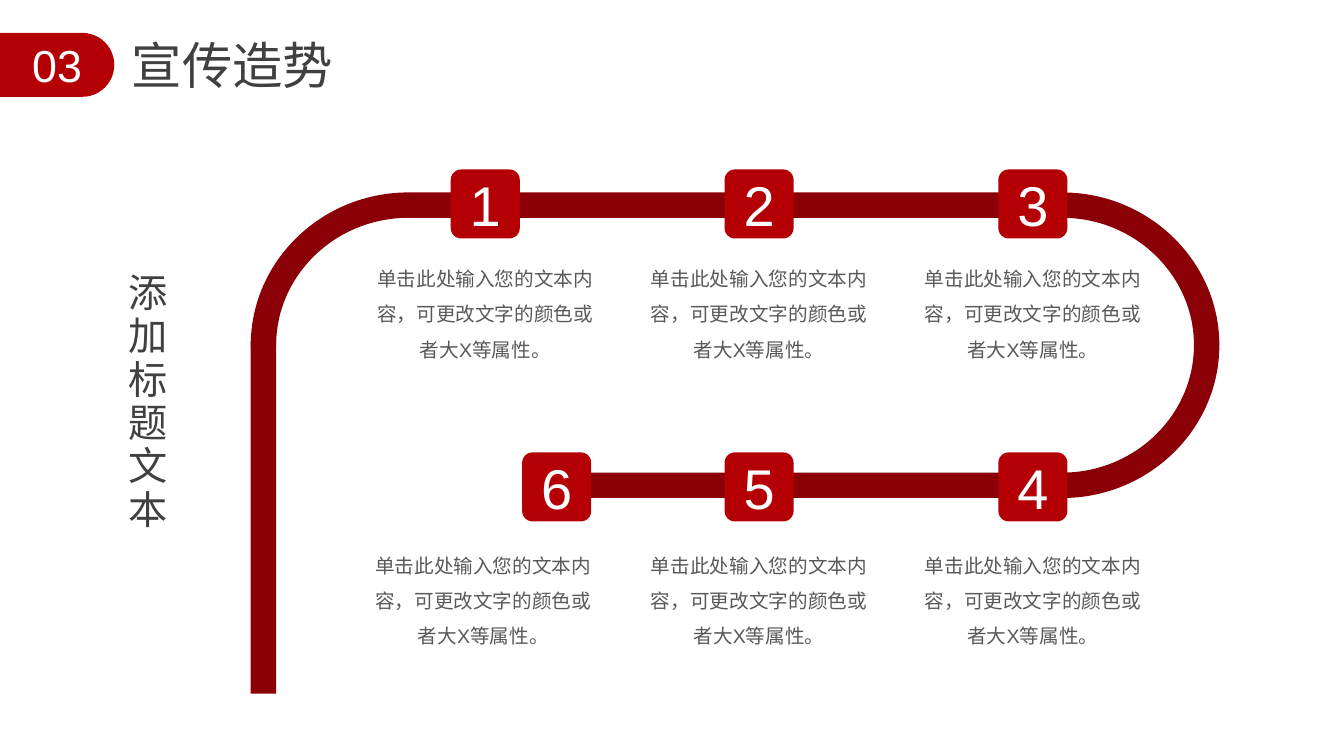
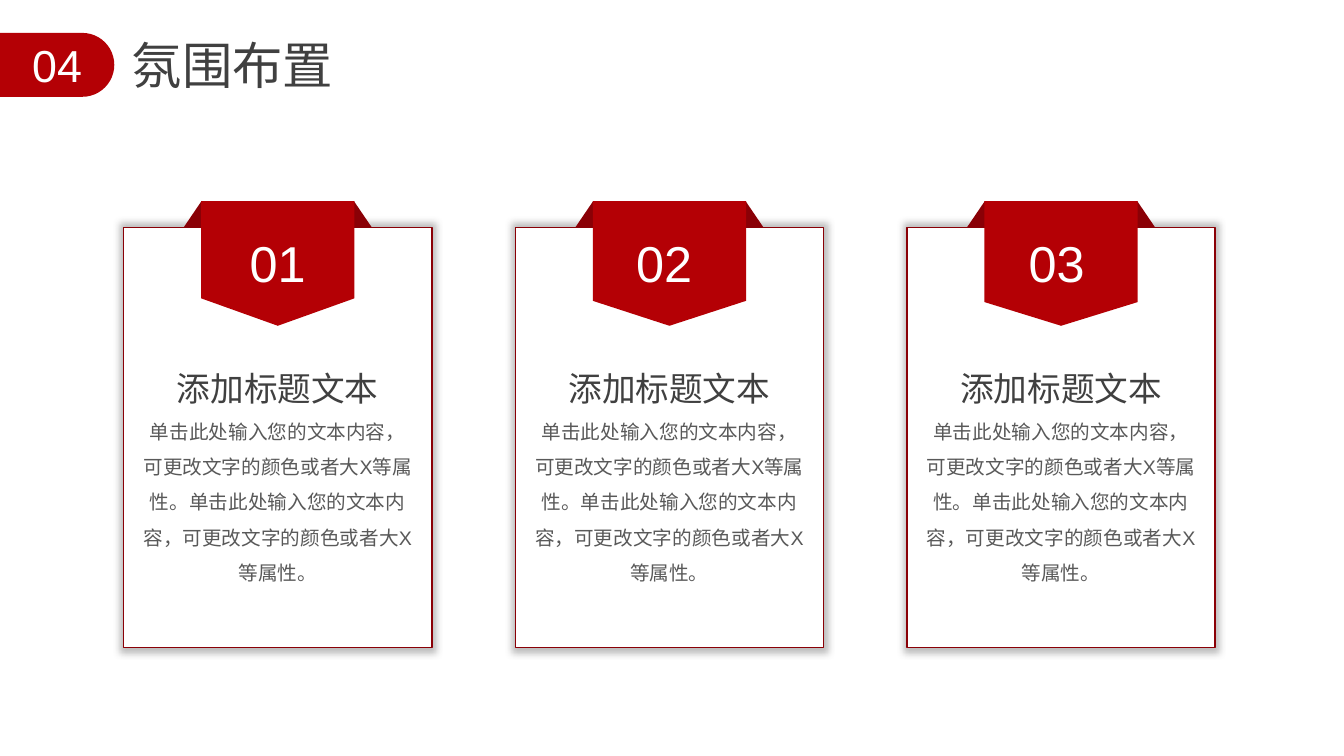
from lxml.etree import SubElement
from pptx import Presentation
from pptx.dml.color import RGBColor
from pptx.enum.shapes import MSO_SHAPE as Preset
from pptx.enum.text import MSO_ANCHOR as Anchor, MSO_AUTO_SIZE as AutoSize, PP_ALIGN as Align
from pptx.oxml.ns import qn
from pptx.util import Cm, Pt

RED, DARK_RED, WHITE = "B40005", "8A0006", "FFFFFF"
HEADING, BODY = "404040", "595959"

# Content
PROMOTION = ("03", "宣传造势")
ATMOSPHERE = ("04", "氛围布置")
SUBTITLE = "添加标题文本"
STEP_TEXT = "单击此处输入您的文本内容，可更改文字的颜色或者大X等属性。"
CARD_TEXT = STEP_TEXT * 2
# label, column, row, shift of the square, shift of the text
STEPS = [
    ("1", 0, 0, 0, 0),
    ("2", 1, 0, 0, 0),
    ("3", 2, 0, 0, 0),
    ("4", 2, 1, 0, 0),
    ("5", 1, 1, 0, 0),
    ("6", 0, 1, 1.8, -0.05),
]
# label, depth of the ribbon point, shift of the label
CARDS = [("01", 0.22, 0), ("02", 0.2, -0.13), ("03", 0.19, -0.11)]

# Text styles
STYLES = {
    "title": dict(size=Pt(36), color=HEADING, align=Align.JUSTIFY),
    "section": dict(size=Pt(32), color=WHITE),
    "step": dict(size=Pt(40), color=WHITE),
    "ribbon": dict(size=Pt(36), color=WHITE),
    "side": dict(size=Pt(28), color=HEADING),
    "card title": dict(size=Pt(24), color=HEADING),
    "body": dict(size=Pt(14), color=BODY, line_spacing=1.5),
}


def rgb(value):
    return RGBColor.from_string(value)


def write(shape, text, style, margin=0.0, anchor=Anchor.TOP, fit=AutoSize.SHAPE_TO_FIT_TEXT):
    look = STYLES[style]
    frame = shape.text_frame
    frame.text = text
    sides = ("margin_left", "margin_top", "margin_right", "margin_bottom")
    settings = dict.fromkeys(sides, Cm(margin))
    settings.update(word_wrap=True, vertical_anchor=anchor, auto_size=fit)
    for name, value in settings.items():
        setattr(frame, name, value)
    paragraph = frame.paragraphs[0]
    paragraph.alignment = look.get("align", Align.CENTER)
    paragraph.line_spacing = look.get("line_spacing", 1.0)
    font = paragraph.runs[0].font
    font.name, font.size = "Arial", look["size"]
    font.color.rgb = rgb(look["color"])


def add_text(slide, text, style, left, top, width, height, margin=0.0):
    box = slide.shapes.add_textbox(Cm(left), Cm(top), Cm(width), Cm(height))
    write(box, text, style, margin)
    return box


def paint(shape, fill):
    shape.fill.solid()
    shape.fill.fore_color.rgb = rgb(fill)
    shape.line.fill.background()
    shape.shadow.inherit = False


def add_block(slide, preset, fill, left, top, width, height, adjust=()):
    block = slide.shapes.add_shape(preset, Cm(left), Cm(top), Cm(width), Cm(height))
    for index, value in enumerate(adjust):
        block.adjustments[index] = value
    paint(block, fill)
    return block


def add_turned_block(slide, preset, fill, left, top, width, height, adjust):
    """Add a block turned clockwise by 90 degrees that covers the given area."""
    shift = (width - height) / 2
    block = add_block(slide, preset, fill, left + shift, top - shift, height, width, adjust)
    block.rotation = 90


def add_glow(shape):
    """Give the shape a soft shadow on all sides."""
    effects = shape._element.spPr.find(qn("a:effectLst"))
    shadow = SubElement(effects, qn("a:outerShdw"), blurRad=str(Pt(5)), sx="102000", sy="102000",
                        algn="ctr", rotWithShape="0")
    color = SubElement(shadow, qn("a:srgbClr"), val=BODY)
    SubElement(color, qn("a:alpha"), val="40000")


def add_section_slide(deck, number, title):
    slide = deck.slides.add_slide(deck.slide_layouts.get_by_name("Title Only"))
    add_turned_block(slide, Preset.ROUND_2_SAME_RECTANGLE, RED, 0, 0.83, 2.88, 1.61, (0.5, 0))
    add_text(slide, number, "section", 0.6, 0.95, 1.68, 1.37)
    heading = slide.shapes.title
    place = dict(left=3.32, top=0.86, width=5.56, height=1.55)
    for name, value in place.items():
        setattr(heading, name, Cm(value))
    write(heading, title, "title", fit=AutoSize.NONE)
    return slide


def quarter(start, corner, end):
    """Return the Bezier points of a quarter ellipse between two points."""
    controls = [tuple(a + 0.55 * (c - a) for a, c in zip(point, corner))
                for point in (start, end)]
    return [*controls, end]


def add_bend(slide, start, *parts):
    """Add a closed outline; a part is one point for a line or three for a curve."""
    points = [(Cm(x), Cm(y)) for part in parts for x, y in part]
    builder = slide.shapes.build_freeform(Cm(start[0]), Cm(start[1]))
    builder.add_line_segments(points, close=True)
    bend = builder.convert_to_shape()
    paint(bend, DARK_RED)
    segments = iter(list(bend._element.iter(qn("a:lnTo"))))
    for part in parts:
        first, *others = [next(segments) for _ in part]
        if others:
            curve = first.makeelement(qn("a:cubicBezTo"))
            first.addprevious(curve)
            for segment in (first, *others):
                curve.append(segment[0])
                segment.getparent().remove(segment)


def add_track(slide):
    thick, top, bottom = 0.64, 4.85, 12.55
    middle = (top + bottom) / 2
    inner_top, inner_bottom = top + thick, bottom - thick
    left, right = 6.32, 30.73
    inner_left, inner_right = left + thick, right - thick
    left_turn, right_turn = 10.29, 26.77
    first_joint, middle_joint, last_joint = 12.2, 19.05, 25.96

    add_bend(slide, (last_joint, top),
             [(last_joint, inner_top)],
             [(right_turn, inner_top)],
             quarter((right_turn, inner_top), (inner_right, inner_top), (inner_right, middle)),
             quarter((inner_right, middle), (inner_right, inner_bottom),
                     (right_turn, inner_bottom)),
             [(last_joint, inner_bottom)],
             [(last_joint, bottom)],
             [(right_turn, bottom)],
             quarter((right_turn, bottom), (right, bottom), (right, middle)),
             quarter((right, middle), (right, top), (right_turn, top)))
    add_bend(slide, (left_turn, top),
             quarter((left_turn, top), (left, top), (left, middle)),
             [(inner_left, middle)],
             quarter((inner_left, middle), (inner_left, inner_top), (left_turn, inner_top)),
             [(first_joint, inner_top)],
             [(first_joint, top)])
    bars = [(13.97, 18.54, inner_bottom), (middle_joint, last_joint, inner_bottom),
            (first_joint, middle_joint, top), (middle_joint, last_joint, top)]
    for start, end, bar_top in bars:
        add_block(slide, Preset.RECTANGLE, DARK_RED, start, bar_top, end - start, thick)
    add_block(slide, Preset.RECTANGLE, DARK_RED, left, 8.59, thick, 8.89)


def add_promotion(deck):
    slide = add_section_slide(deck, *PROMOTION)
    add_track(slide)
    first_center, pitch, square, text_width = 12.23, 6.9, 1.74, 5.71
    square_tops, text_tops = (4.27, 11.4), (6.43, 13.66)
    for label, column, row, square_shift, text_shift in STEPS:
        center = first_center + column * pitch
        add_text(slide, STEP_TEXT, "body", center - text_width / 2 + text_shift,
                 text_tops[row], text_width, 2.7)
        step = add_block(slide, Preset.ROUNDED_RECTANGLE, RED, center - square / 2 + square_shift,
                         square_tops[row], square, square, (0.15,))
        write(step, label, "step", 0.15, Anchor.MIDDLE, AutoSize.NONE)
    side = add_text(slide, SUBTITLE, "side", 3.1, 6.88, 1.19, 8.38)
    side.text_frame._txBody.bodyPr.set("vert", "eaVert")
    side.text_frame.paragraphs[0].runs[0]._r.get_or_add_rPr().set("spc", "300")


def add_atmosphere(deck):
    slide = add_section_slide(deck, *ATMOSPHERE)
    first_center, pitch = 7.0, 9.87
    for column, (label, point, label_shift) in enumerate(CARDS):
        center = first_center + column * pitch

        def centered(top, width, height):
            return center - width / 2, top, width, height

        card = add_block(slide, Preset.RECTANGLE, WHITE, *centered(5.73, 7.77, 10.59))
        card.line.color.rgb = rgb(DARK_RED)
        card.line.width = Pt(1)
        add_glow(card)
        add_block(slide, Preset.TRAPEZOID, DARK_RED, *centered(5.07, 4.74, 0.66), (0.68,))
        add_turned_block(slide, Preset.PENTAGON, RED, *centered(5.07, 3.86, 3.14), (point,))
        left, *rest = centered(5.72, 2.29, 1.8)
        add_text(slide, label, "ribbon", left + label_shift, *rest, margin=0.13)
        add_text(slide, SUBTITLE, "card title", *centered(9.27, 5.49, 1.02))
        add_text(slide, CARD_TEXT, "body", *centered(10.28, 6.83, 3.58))


def main():
    deck = Presentation()
    deck.slide_width, deck.slide_height = Cm(33.87), Cm(19.05)
    add_promotion(deck)
    add_atmosphere(deck)
    deck.save("out.pptx")


if __name__ == "__main__":
    main()
